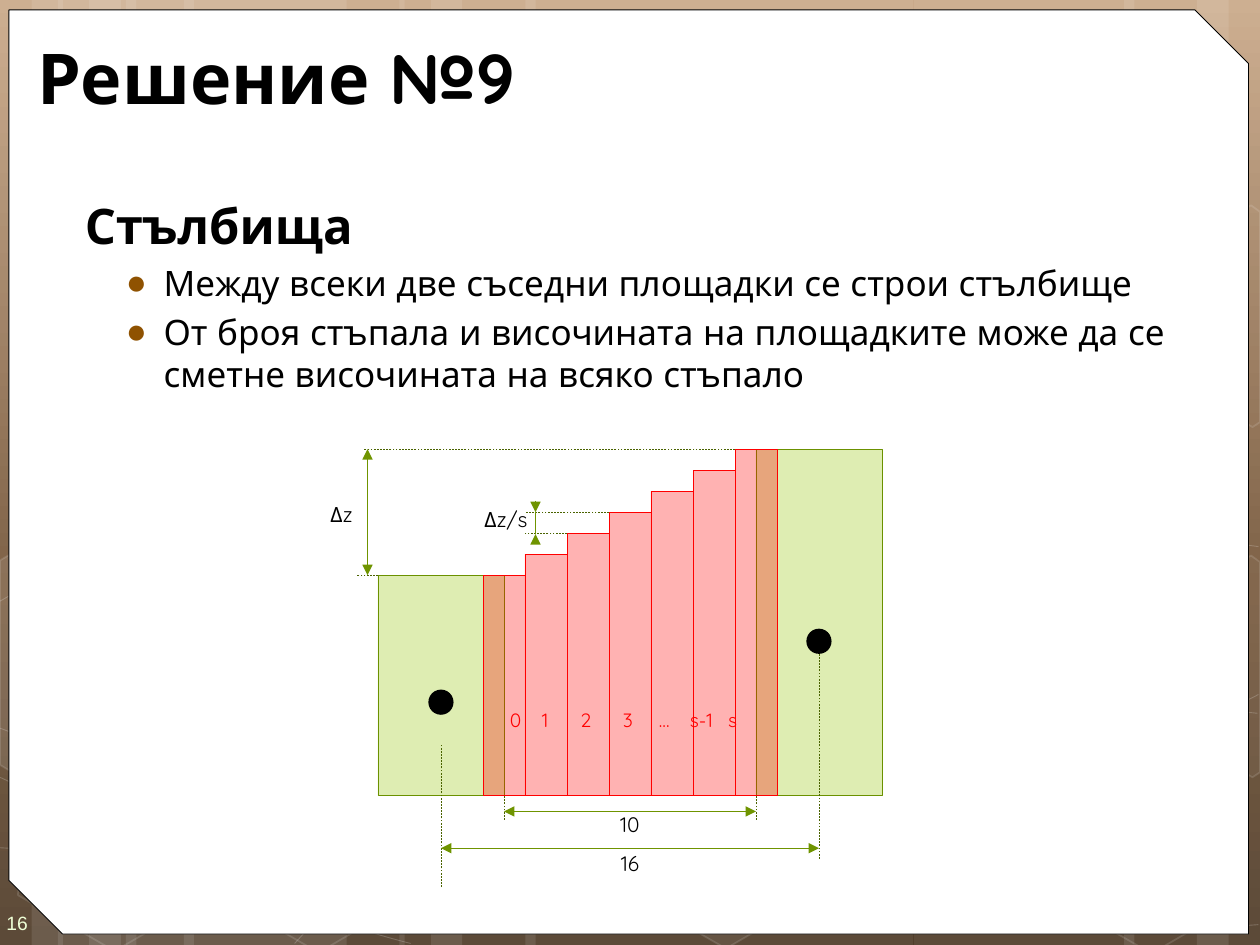
import pptx
import pptx.dml.color
import pptx.enum.dml
import pptx.enum.shapes
import pptx.enum.text
import pptx.oxml.ns
import pptx.util
from lxml import etree

Cm = pptx.util.Cm
Pt = pptx.util.Pt
qn = pptx.oxml.ns.qn
SHAPES = pptx.enum.shapes.MSO_SHAPE
ALIGN = pptx.enum.text.PP_ALIGN
ANCHOR = pptx.enum.text.MSO_ANCHOR

WIDTH, HEIGHT = 25.4, 19.05
UNIT = 2.54 / 6  # diagram grid: a step is two units wide and one unit high
LEFT, BASE = 7.62, 16.04
LOW, HIGH = 10.5, 16.5
GREEN, DARK_GREEN, RED = "6F9400", "4A6300", "FF0000"

STRIPS = [(2.54, 4.45), (0, 1.27), (0.64, 2.11), (3.71, 4.45), (1.17, 1.27), (1.8, 2.11),
          (18.42, 4.45), (24.13, 1.27), (22.66, 2.11), (10.59, 7.82), (8.05, 1.27), (8.69, 2.11)]
CURVES = [
    [(0, 17.09), (1.35, 17.17), (2.72, 17.25), (4.62, 17.22), (6.53, 17.2), (8.86, 17.15),
     (11.43, 16.89), (13.97, 16.64), (17.58, 16.15), (19.89, 15.67), (22.23, 15.19),
     (24.61, 14.43), (25.37, 14)],
    [(0, 12.12), (0.71, 11.71), (1.42, 11.33), (2.87, 10.95), (4.32, 10.57), (6.35, 10.01),
     (8.61, 9.83), (10.87, 9.65), (13.61, 9.63), (16.41, 9.83), (19.2, 10.03),
     (23.85, 10.82), (25.37, 11.02)],
    [(0, 15.67), (3, 17.07), (6.07, 18.47), (8.28, 19.02)],
    [(0, 14.68), (0.76, 14.96), (1.55, 15.24), (3.05, 15.65), (4.52, 16.03), (6.73, 16.66),
     (8.84, 17.09), (10.97, 17.53), (13.64, 17.98), (15.75, 18.24), (17.83, 18.52),
     (20.09, 18.62), (21.44, 18.69), (22.78, 18.8), (23.14, 18.75), (23.8, 18.75),
     (24.43, 18.72), (24.94, 18.67), (25.37, 18.64)],
    [(5.94, 19.02), (6.4, 18.52), (6.83, 18.01), (7.47, 17.55), (8.08, 17.09), (8.92, 16.59),
     (9.63, 16.23), (10.34, 15.88), (10.77, 15.72), (11.71, 15.47), (12.65, 15.21),
     (14.35, 14.86), (15.24, 14.68), (16.13, 14.5), (16.28, 14.5), (17.07, 14.45),
     (17.86, 14.38), (19.08, 14.3), (19.96, 14.27), (20.83, 14.25), (22.3, 14.27),
     (22.3, 14.27), (22.86, 14.27), (23.42, 14.27), (23.98, 14.27), (24.46, 14.3),
     (24.89, 14.33), (25.35, 14.38)],
]
HEXAGONS = [(12.4, 14.96, 6), (0.08, 15.01, 0), (4.19, 15.04, 0), (20.98, 15.06, 0)]
LEFT_CUT = [(0, 11.3), (0.28, 11.13), (2.21, 12.24), (2.21, 14.48), (0.3, 15.6), (0, 15.42)]
RIGHT_CUT = [(23.32, 12.32), (25.22, 11.2), (25.4, 11.33), (25.4, 15.57), (25.25, 15.67),
             (23.29, 14.55)]


def color(code):
    return pptx.dml.color.RGBColor.from_string(code)


def grid(x, up):
    """Turn diagram units, counted from the bottom left corner, into cm."""
    return LEFT + x * UNIT, BASE - up * UNIT


class Painter:
    font = "Quicksand"

    def __init__(self, page):
        self.page = page

    def background(self, stops, angle):
        fill = self.page.background.fill
        fill.gradient()
        fill.gradient_angle = angle
        stop_list = self.page.background._cSld.find(".//" + qn("a:gsLst"))
        for old in list(stop_list):
            stop_list.remove(old)
        for position, code in stops:
            stop = etree.SubElement(stop_list, qn("a:gs"), pos=str(position * 1000))
            etree.SubElement(stop, qn("a:srgbClr"), val=code)

    def paint(self, shape, fill=None, fill_alpha=100, line=None, weight=0.25, line_alpha=100):
        shape.shadow.inherit = False
        if fill and fill_alpha:
            shape.fill.solid()
            shape.fill.fore_color.rgb = color(fill)
            self.fade(shape, ["a:solidFill"], fill_alpha)
        else:
            shape.fill.background()
        if line:
            shape.line.color.rgb = color(line)
            shape.line.width = Pt(weight)
            self.fade(shape, ["a:ln", "a:solidFill"], line_alpha)
        else:
            shape.line.fill.background()
        return shape

    def fade(self, shape, place, percent):
        """Make the colour at this place in the shape's properties see-through."""
        if percent < 100:
            tags = "/".join(qn(tag) for tag in place + ["a:srgbClr"])
            etree.SubElement(shape._element.spPr.find(tags), qn("a:alpha"),
                             val=str(percent * 1000))

    def shape(self, kind, left, top, width, height, **look):
        shape = self.page.shapes.add_shape(kind, Cm(left), Cm(top), Cm(width), Cm(height))
        return self.paint(shape, **look)

    def block(self, x, wide, high, fill, line):
        """Draw a bar that stands on the diagram's base line."""
        left, top = grid(x, high)
        return self.shape(SHAPES.RECTANGLE, left, top, wide * UNIT, high * UNIT,
                          fill=fill, fill_alpha=30, line=line)

    def dot(self, x, up, size=1.2):
        left, top = grid(x - size / 2, up + size / 2)
        self.shape(SHAPES.OVAL, left, top, size * UNIT, size * UNIT, fill="000000")

    def outline(self, points, closed=False, **look):
        first, *rest = [(Cm(x), Cm(y)) for x, y in points]
        builder = self.page.shapes.build_freeform(*first)
        builder.add_line_segments(rest, close=closed)
        return self.paint(builder.convert_to_shape(), line="FFFFFF", **look)

    def curve(self, points, **look):
        """Draw a chain of cubic curves, each three points after the one before."""
        shape = self.outline(points, **look)
        segments = list(shape._element.spPr.iter(qn("a:lnTo")))
        for start in range(0, len(segments), 3):
            bend = etree.Element(qn("a:cubicBezTo"))
            segments[start].addprevious(bend)
            for segment in segments[start:start + 3]:
                bend.append(segment[0])
                segment.getparent().remove(segment)

    def line(self, start, end, code=GREEN, dashed=False, heads=(), end_shape=None):
        ends = [Cm(value) for value in grid(*start) + grid(*end)]
        line = self.page.shapes.add_connector(pptx.enum.shapes.MSO_CONNECTOR.STRAIGHT, *ends)
        line.line.color.rgb = color(code)
        line.line.width = Pt(0.25)
        if dashed:
            line.line.dash_style = pptx.enum.dml.MSO_LINE.DASH
        for head in heads:
            etree.SubElement(line.line._get_or_add_ln(), qn(head), type="triangle")
        etree.SubElement(line._element.spPr, qn("a:effectLst"))
        if end_shape is not None:
            line.end_connect(end_shape, 2)

    def guide(self, start, end, end_shape=None):
        self.line(start, end, DARK_GREEN, True, end_shape=end_shape)

    def dimension(self, start, end):
        self.line(start, end, heads=("a:headEnd", "a:tailEnd"))

    def text_box(self, left, top, width, height, anchor=ANCHOR.TOP):
        box = self.page.shapes.add_textbox(Cm(left), Cm(top), Cm(width), Cm(height))
        box.text_frame.word_wrap = True
        box.text_frame.vertical_anchor = anchor
        return box.text_frame

    def span(self, para, text, size, code="000000", bold=False, font=None):
        span = para.add_run()
        span.text = text
        span.font.size = Pt(size)
        span.font.bold = bold
        span.font.name = font or self.font
        span.font.color.rgb = color(code)

    def label(self, left, top, width, text):
        para = self.text_box(left, top, width, 0.76).paragraphs[0]
        para.alignment = ALIGN.CENTER
        self.span(para, text, 12)

    def bullet(self, frame, text):
        para = frame.add_paragraph()
        para.space_before = Pt(4)
        props = para._p.get_or_add_pPr()
        props.set("marL", str(Cm(1.78)))
        props.set("indent", str(Cm(-0.76)))
        etree.SubElement(etree.SubElement(props, qn("a:buClr")), qn("a:srgbClr"), val="8F5201")
        etree.SubElement(props, qn("a:buFont"), typeface="Arial")
        etree.SubElement(props, qn("a:buChar"), char="●")
        self.span(para, text, 20)

    def tabbed(self, frame, texts, stops, size, code):
        para = frame.paragraphs[0]
        tabs = etree.SubElement(para._p.get_or_add_pPr(), qn("a:tabLst"))
        for stop in stops:
            etree.SubElement(tabs, qn("a:tab"), pos=str(Cm(stop)), algn="ctr")
        self.span(para, "\t".join(texts), size, code)


def draw_backdrop(painter):
    painter.background([(0, "C8A685"), (62, "705032"), (100, "4A3622")], 270)
    for left, width in STRIPS:
        painter.shape(SHAPES.RECTANGLE, left, 0, width, HEIGHT, fill="FFFFFF", fill_alpha=10)
    for points in CURVES:
        painter.curve(points, weight=0.5, line_alpha=20)
    for left, top, alpha in HEXAGONS:
        hexagon = painter.shape(SHAPES.HEXAGON, left, top, 4.45, 3.86, fill="FFFFFF",
                                fill_alpha=alpha, line="FFFFFF", weight=1, line_alpha=12)
        hexagon.adjustments[0] = 0.285
        hexagon.rotation = 30
    upper_cut = [(x, y - 7.06) for x, y in RIGHT_CUT]
    for points, alpha in ((LEFT_CUT, 10), (RIGHT_CUT, 4), (upper_cut, 0)):
        painter.outline(points, True, fill="FFFFFF", fill_alpha=alpha, weight=1, line_alpha=12)
    panel = painter.shape(SHAPES.SNIP_2_DIAG_RECTANGLE, 0.18, 0.2, 24.99, 18.63,
                          fill="FFFFFF", line="000000", weight=0.5)
    panel.adjustments[0], panel.adjustments[1] = 0, 0.058


def draw_texts(painter):
    number = painter.text_box(0, 18.03, 1.47, 1.02, ANCHOR.MIDDLE)
    number.margin_left, number.margin_top = Cm(0.13), Cm(0.38)
    number.margin_right, number.margin_bottom = Cm(0), Cm(0.25)
    painter.span(number.paragraphs[0], "16", 11, "EEFFD6", font="Arial")
    title = painter.text_box(0.5, 0.64, 24.05, 1.8, ANCHOR.MIDDLE)
    painter.span(title.paragraphs[0], "Решение №9", 40, bold=True)
    body = painter.text_box(1.27, 3.81, 23.93, 15.04)
    body.paragraphs[0]._p.get_or_add_pPr().set("marL", str(Cm(0.19)))
    painter.span(body.paragraphs[0], "Стълбища", 28, bold=True)
    painter.bullet(body, "Между всеки две съседни площадки се строи стълбище")
    painter.bullet(body, "От броя стъпала и височината на площадките може да се "
                         "сметне височината на всяко стъпало")


def draw_stairs(painter):
    painter.block(18, 6, HIGH, "94C600", "6B9100")
    painter.block(0, 6, LOW, "94C600", "6B9100")
    steps = [painter.block(5 + 2 * i, 2, LOW + i, RED, RED) for i in range(7)]
    painter.label(10.16, 16.23, 5.08, "10")
    painter.dimension((6, -0.75), (18, -0.75))
    painter.guide((6, -1.15), (6, 0), steps[0])
    painter.guide((18, -1.15), (18, 0), steps[-1])
    painter.guide((3, -4.35), (3, 2.45))
    painter.guide((21, -3), (21, 7.3))
    painter.dimension((3, -2.5), (21, -2.5))
    painter.label(10.16, 17.02, 5.08, "16")
    painter.dot(3, 4.45)
    painter.dot(21, 7.35)
    painter.guide((0, LOW), (-1, LOW))
    painter.guide((17, HIGH), (-0.65, HIGH))
    painter.dimension((-0.5, HIGH), (-0.5, LOW))
    painter.label(6.35, 9.98, 1.07, "Δz")
    painter.tabbed(painter.text_box(10.03, 14.15, 5.44, 0.74),
                   ["0", "1", "2", "3", "…", "s-1", "s"],
                   [0.71, 1.53, 2.38, 3.11, 3.86, 4.49], 11, RED)
    painter.guide((9, 12.5), (7, 12.5))
    painter.guide((11, 13.5), (7, 13.5))
    painter.line((7.5, 14.05), (7.5, 13.5), heads=("a:tailEnd",))
    painter.line((7.5, 12), (7.5, 12.45), heads=("a:tailEnd",))
    painter.line((7.5, 13.5), (7.5, 12.45))
    painter.label(9.4, 10.08, 1.6, "Δz/s")


def main():
    deck = pptx.Presentation()
    deck.slide_width, deck.slide_height = Cm(WIDTH), Cm(HEIGHT)
    painter = Painter(deck.slides.add_slide(deck.slide_layouts[6]))
    draw_backdrop(painter)
    draw_texts(painter)
    draw_stairs(painter)
    deck.save("out.pptx")


if __name__ == "__main__":
    main()
